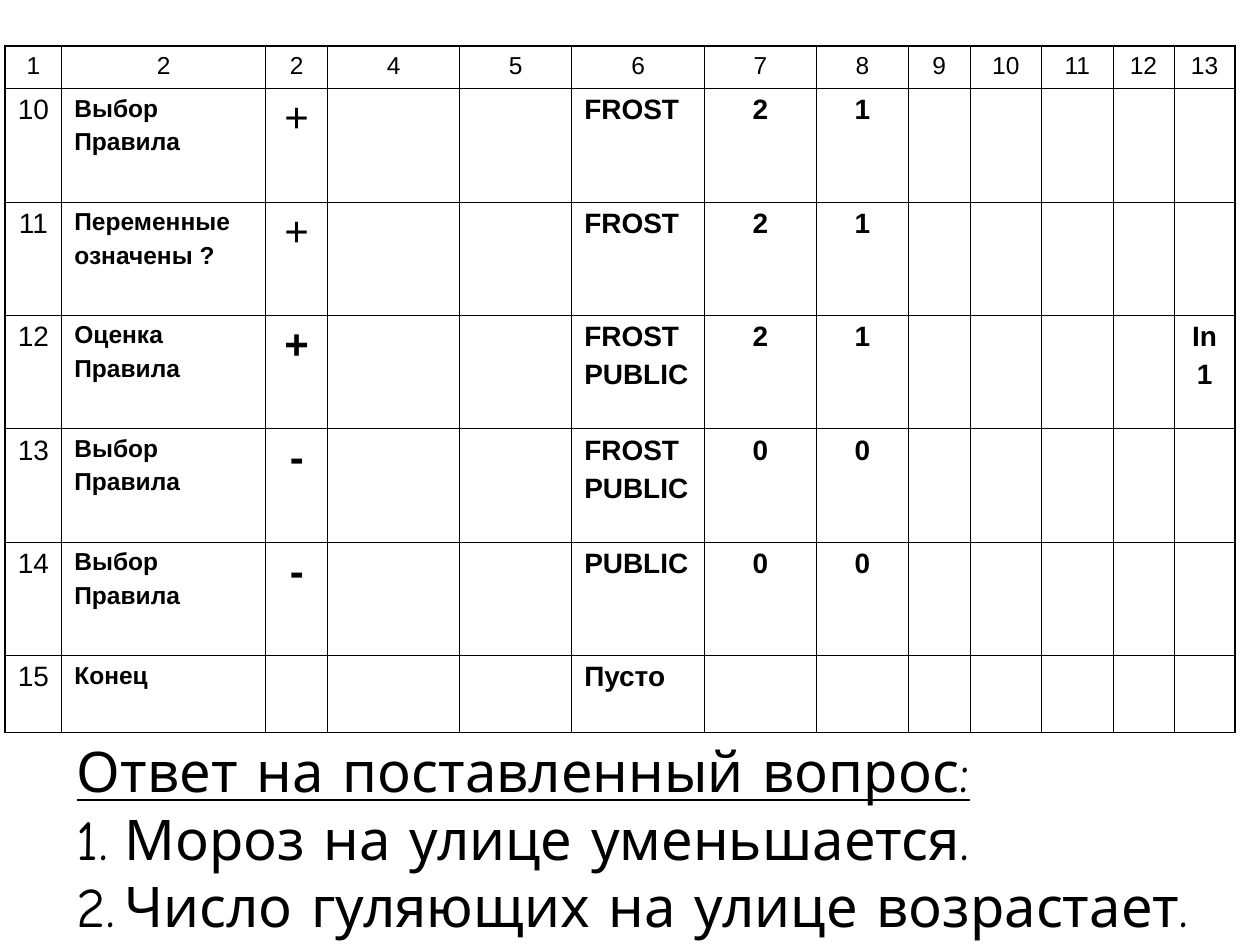
from dataclasses import dataclass

from pptx import Presentation, util as u
from pptx.dml.color import RGBColor
from pptx.enum import text as t
from pptx.oxml import parse_xml
from pptx.oxml.ns import nsdecls

LEFT, MID = t.PP_ALIGN.LEFT, t.PP_ALIGN.CENTER


@dataclass(frozen=True)
class Theme:
    ink: str = "000000"
    face: str = "Arial"
    hand: str = "Comic Neue"
    small: float = 14
    body: float = 16
    sign: float = 24
    big: float = 32
    thin: float = 0.45
    thick: float = 1.08


@dataclass(frozen=True)
class Style:
    size: float
    bold: bool = False
    align: t.PP_ALIGN = MID
    face: str = Theme.face
    line: bool = False
    gap: float = 0


@dataclass(frozen=True)
class Step:
    num: str
    name: str
    sign: str = ""
    goal: str = ""
    seven: str = ""
    eight: str = ""
    last: str = ""
    heavy: bool = True  # weight of the sign

    def cells(self) -> list[str]:
        return [self.num, self.name, self.sign, "", "", self.goal,
                self.seven, self.eight, "", "", "", "", self.last]


TH = Theme()
HEAD = "1 2 2 4 5 6 7 8 9 10 11 12 13".split()
STEPS = [
    Step("10", "Выбор\nПравила", "+", "FROST", "2", "1", heavy=False),
    Step("11", "Переменные\nозначены ?", "+", "FROST", "2", "1", heavy=False),
    Step("12", "Оценка\nПравила", "+", "FROST\nPUBLIC", "2", "1", "In\n1"),
    Step("13", "Выбор\nПравила", "-", "FROST\nPUBLIC", "0", "0"),
    Step("14", "Выбор\nПравила", "-", "PUBLIC", "0", "0"),
    Step("15", "Конец", goal="Пусто"),
]
WIDTHS = [32.4, 116.6, 35.4, 75.5, 64, 75.8, 64, 52.5, 35.4, 40.8, 40.8, 34.9, 35]
HEIGHTS = [24.4] + [64.8] * 5 + [44]
ANSWER = ["Ответ на поставленный вопрос:",
          "Мороз на улице уменьшается.",
          "Число гуляющих на улице возрастает."]


def put(obj, fmt: dict) -> None:
    for key, val in fmt.items():
        setattr(obj, key, val)


def write(para, words: str, style: Style, first: bool) -> None:
    para.text = words
    put(para, dict(alignment=style.align,
                   space_before=u.Pt(0 if first else style.gap)))
    put(para.font, dict(size=u.Pt(style.size), bold=style.bold,
                        name=style.face, underline=style.line))
    para.font.color.rgb = RGBColor.from_string(TH.ink)


def fill(cell, words: str, style: Style) -> None:
    frame = cell.text_frame
    for i, part in enumerate(words.split("\n")):
        para = frame.add_paragraph() if i else frame.paragraphs[0]
        write(para, part, style, i == 0)


def edge(cell, sides: dict[str, bool]) -> None:
    props = cell._tc.get_or_add_tcPr()
    for side, outer in sides.items():
        width = u.Pt(TH.thick if outer else TH.thin)
        props.append(parse_xml(
            f'<a:ln{side} {nsdecls("a")} w="{width}"><a:solidFill>'
            f'<a:srgbClr val="{TH.ink}"/></a:solidFill></a:ln{side}>'))
    cell.fill.background()


def pick(row: int, col: int) -> Style:
    """Style by place in the grid."""
    if row == 0:
        return Style(TH.small)
    if col == 0:
        return Style(TH.body)
    if col == 1:
        return Style(TH.small, True, LEFT, gap=3.5)
    if col == 2:
        return Style(TH.sign, STEPS[row - 1].heavy)
    return Style(TH.body, True, LEFT if col == 5 else MID, gap=4)


def trace(slide) -> None:
    rows = [HEAD] + [step.cells() for step in STEPS]
    end, low = len(HEAD) - 1, len(rows) - 1
    grid = slide.shapes.add_table(
        len(rows), len(HEAD), u.Pt(2.9), u.Pt(26.2),
        u.Pt(sum(WIDTHS)), u.Pt(sum(HEIGHTS))).table
    put(grid, dict(first_row=False, horz_banding=False))
    for col, width in zip(grid.columns, WIDTHS):
        col.width = u.Pt(width)
    for row, height in zip(grid.rows, HEIGHTS):
        row.height = u.Pt(height)
    for r, row in enumerate(rows):
        for c, words in enumerate(row):
            cell = grid.cell(r, c)
            fill(cell, words, pick(r, c))
            edge(cell, dict(L=c == 0, R=c == end, T=r == 0, B=r == low))


def answer(slide) -> None:
    box = slide.shapes.add_textbox(u.Pt(36.9), u.Pt(417.6), u.Pt(663), u.Pt(122.4))
    frame = box.text_frame
    frame.word_wrap = True
    for i, words in enumerate(ANSWER):
        para = frame.add_paragraph() if i else frame.paragraphs[0]
        props = para._p.get_or_add_pPr()
        put_at = {"marL": u.Pt(27), "indent": u.Pt(-27)}
        for key, val in put_at.items():
            props.set(key, str(int(val)))
        if i:  # numbered lines
            for part in (f'buClr {nsdecls("a")}><a:srgbClr val="{TH.ink}"/></a:buClr',
                         f'buFont {nsdecls("a")} typeface="{TH.hand}"/',
                         f'buAutoNum {nsdecls("a")} type="arabicPeriod"/'):
                props.append(parse_xml(f"<a:{part}>"))
        write(para, words, Style(TH.big, False, LEFT, TH.hand, i == 0), i == 0)


def main() -> None:
    deck = Presentation()
    put(deck, dict(slide_width=u.Pt(720), slide_height=u.Pt(540)))
    slide = deck.slides.add_slide(deck.slide_layouts[6])
    trace(slide)   # steps of the inference
    answer(slide)  # conclusions below
    deck.save("out.pptx")


if __name__ == "__main__":
    main()
